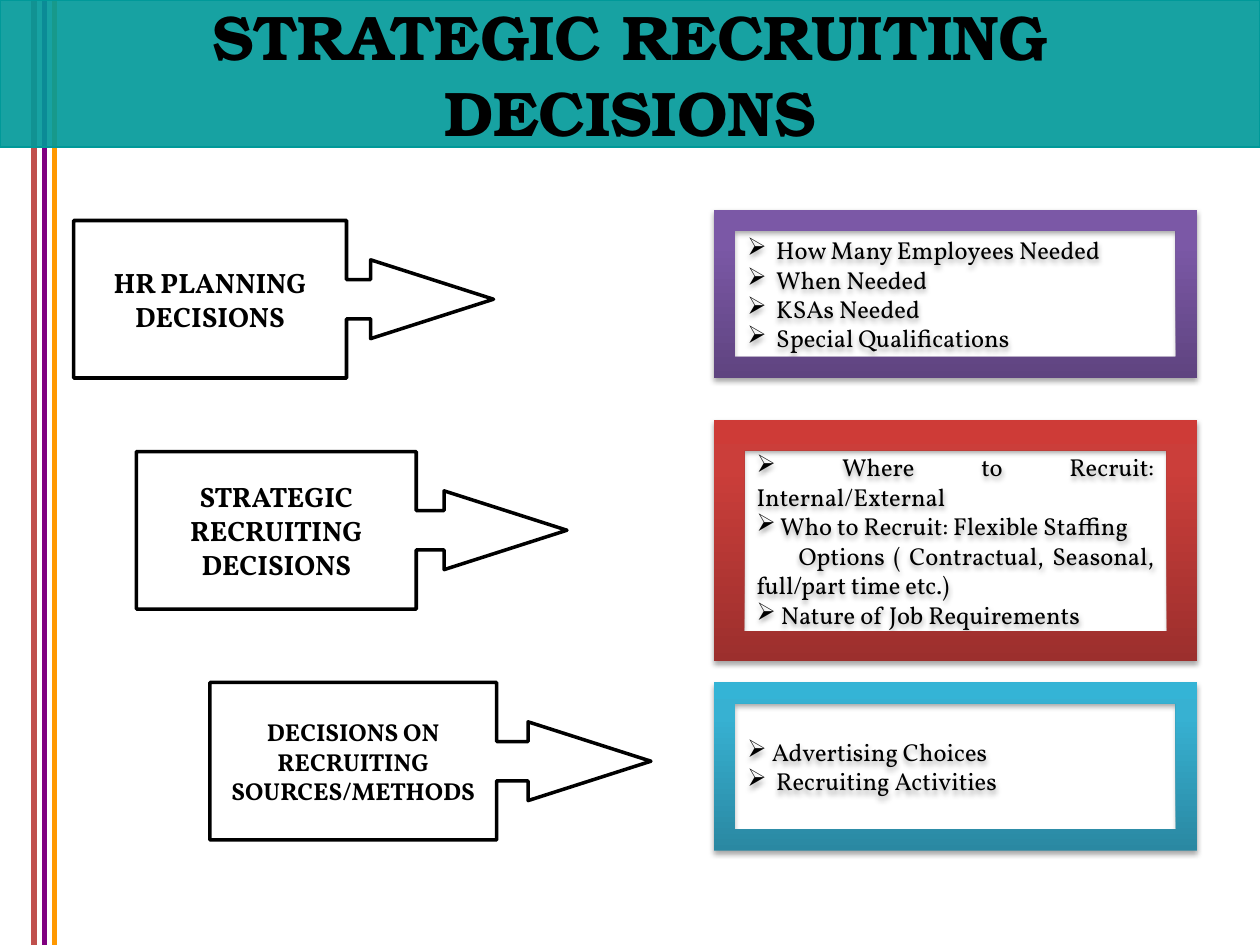
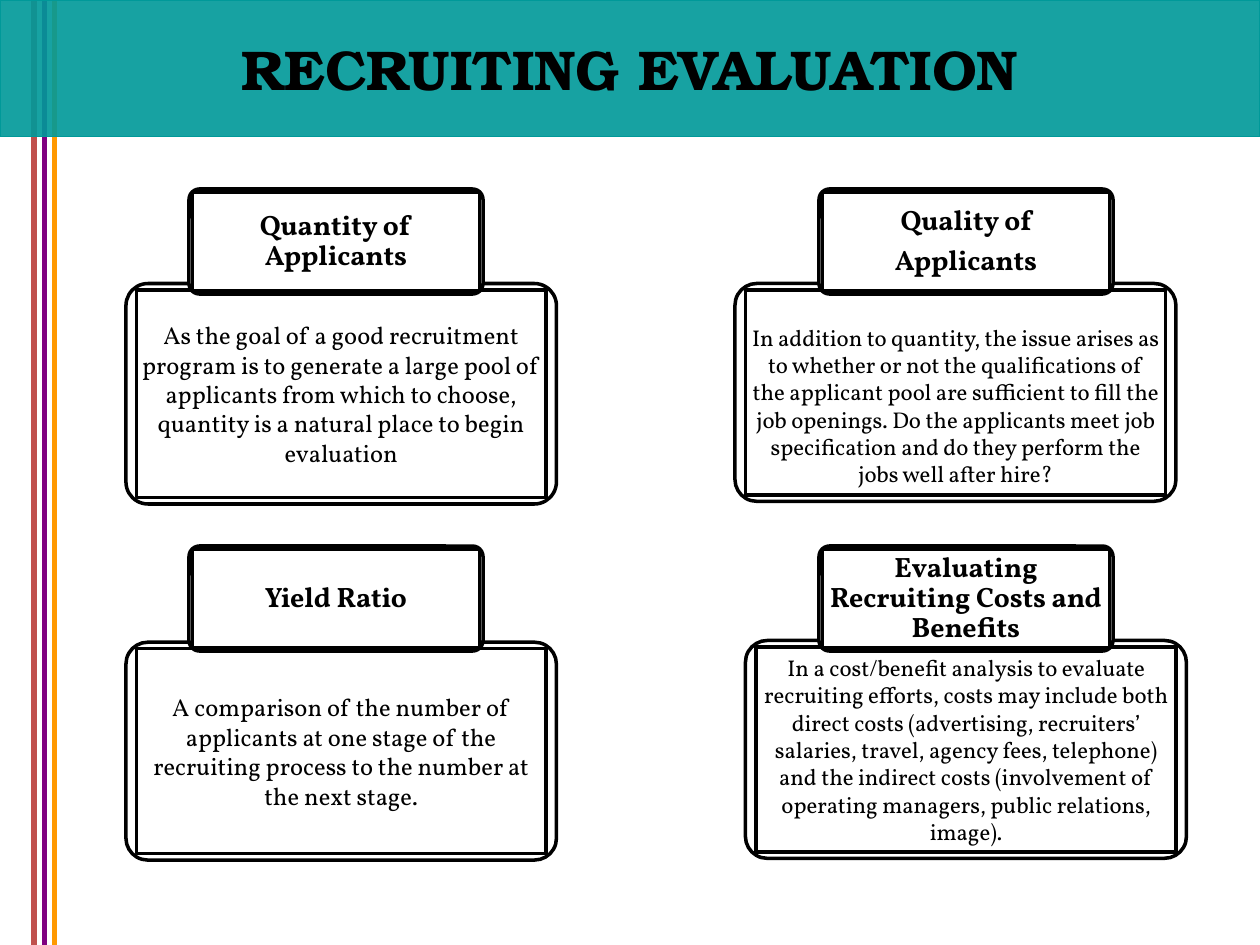
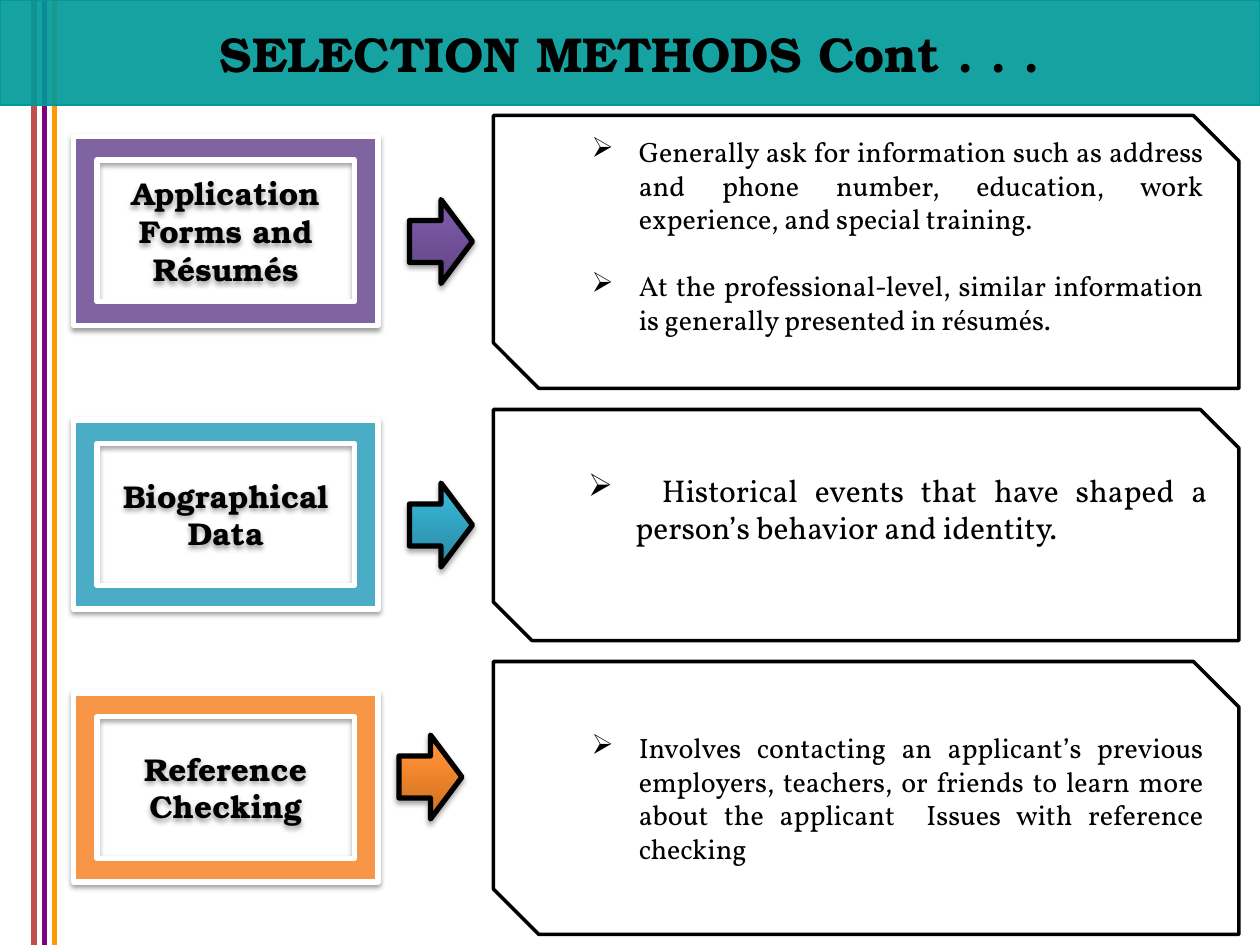
from copy import deepcopy
from dataclasses import dataclass

from lxml import etree
from pptx import Presentation
from pptx.dml.color import RGBColor
from pptx.enum.shapes import MSO_CONNECTOR, MSO_SHAPE
from pptx.enum.text import MSO_ANCHOR, PP_ALIGN
from pptx.oxml.ns import qn
from pptx.util import Pt

RECTANGLE = MSO_SHAPE.RECTANGLE
ROUNDED = MSO_SHAPE.ROUNDED_RECTANGLE
CALLOUT = MSO_SHAPE.RIGHT_ARROW_CALLOUT
FRAME = MSO_SHAPE.FRAME
ARROW = MSO_SHAPE.RIGHT_ARROW
SNIPPED = MSO_SHAPE.SNIP_2_DIAG_RECTANGLE
STRAIGHT = MSO_CONNECTOR.STRAIGHT
MIDDLE = MSO_ANCHOR.MIDDLE
CENTER = PP_ALIGN.CENTER
JUSTIFY = PP_ALIGN.JUSTIFY


@dataclass(frozen=True)
class Theme:
    width: float = 720
    height: float = 540
    ink: str = "000000"
    paper: str = "FFFFFF"
    band: str = "009999"
    band_opacity: int = 91
    stripes: tuple = ((19.5, "C0504D"), (31, "FF9900"), (25.25, "800080"))
    purple: tuple = ((0, "5F4480"), (0.8, "7B58A6"), (1, "7C57A8"))
    red: tuple = ((0, "9C2F2D"), (0.8, "CB3E3A"), (1, "CE3B37"))
    blue: tuple = ((0, "2A88A2"), (0.8, "37B1D2"), (1, "34B4D6"))
    orange: tuple = ((0, "CC6E20"), (0.8, "FF9034"), (1, "FF9136"))
    purple_flat: str = "8064A2"
    blue_flat: str = "4BACC6"
    orange_flat: str = "F79646"
    display: str = "TeX Gyre Bonum"
    body: str = "Vollkorn"
    title_large: int = 36
    title_medium: int = 32
    title_small: int = 28
    label: int = 18
    heading: int = 16
    text: int = 14
    small: int = 13
    thin: float = 0.75
    outline: float = 2
    thick: float = 3


THEME = Theme()


@dataclass(frozen=True)
class Line:
    text: str
    bullet: bool = False
    left: float = 0
    first: float = 0
    before: float = 0


def point(text, hang=0, before=0):
    return Line(text, True, hang, -hang, before)


def detail(text, before=0):
    return Line(text, True, 63, -27, before)


def color(value):
    return RGBColor.from_string(value)


def paint(shape, fill):
    if isinstance(fill, str):
        shape.fill.solid()
        shape.fill.fore_color.rgb = color(fill)
        return
    shape.fill.gradient()
    shape.fill.gradient_angle = 90
    stop_list = shape._element.spPr.find(qn("a:gradFill")).find(qn("a:gsLst"))
    stop_list.append(deepcopy(stop_list[0]))
    for stop, (position, value) in zip(shape.fill.gradient_stops, fill):
        stop.position = position
        stop.color.rgb = color(value)


def add_shadow(shape, opacity, distance):
    effects = shape._element.spPr.find(qn("a:effectLst"))
    shadow = etree.SubElement(effects, qn("a:outerShdw"), blurRad=str(Pt(3.1)),
                              dist=str(Pt(distance)), dir="5400000", rotWithShape="0")
    shade = etree.SubElement(shadow, qn("a:srgbClr"), val=THEME.ink)
    etree.SubElement(shade, qn("a:alpha"), val=str(opacity * 1000))


def add_box(slide, kind, bounds, fill=THEME.paper, line=THEME.ink,
            line_width=THEME.outline, adjustments=()):
    shape = slide.shapes.add_shape(kind, *map(Pt, bounds))
    shape.shadow.inherit = False
    for index, value in enumerate(adjustments):
        shape.adjustments[index] = value
    paint(shape, fill)
    if line:
        shape.line.color.rgb = color(line)
        shape.line.width = Pt(line_width)
    else:
        shape.line.fill.background()
    return shape


def write(shape, lines, size, font=THEME.body, bold=False, align=CENTER,
          inset=None, wrap=True, spacing=None, after=0):
    frame = shape.text_frame
    frame.word_wrap = wrap
    frame.vertical_anchor = MIDDLE
    if inset is not None:
        frame.margin_left = frame.margin_right = Pt(inset)
        frame.margin_top = frame.margin_bottom = Pt(inset)
    for index, line in enumerate(lines):
        if isinstance(line, str):
            line = Line(line)
        paragraph = frame.add_paragraph() if index else frame.paragraphs[0]
        paragraph.alignment = align
        properties = paragraph._p.get_or_add_pPr()
        properties.set("marL", str(Pt(line.left)))
        properties.set("indent", str(Pt(line.first)))
        if line.bullet:
            etree.SubElement(properties, qn("a:buChar"), char="➢")
        if spacing:
            paragraph.line_spacing = spacing
        if line.before:
            paragraph.space_before = Pt(line.before)
        if after:
            paragraph.space_after = Pt(after)
        run = paragraph.add_run()
        run.text = line.text
        run.font.name = font
        run.font.size = Pt(size)
        run.font.bold = bold
        run.font.color.rgb = color(THEME.ink)


def add_slide(presentation, title, size, band_height):
    slide = presentation.slides.add_slide(presentation.slide_layouts[6])
    for x, value in THEME.stripes:
        stripe = slide.shapes.add_connector(STRAIGHT, Pt(x), 0, Pt(x), Pt(THEME.height))
        stripe.line.color.rgb = color(value)
        stripe.line.width = Pt(THEME.thick)
        etree.SubElement(stripe._element.spPr, qn("a:effectLst"))
    band = add_box(slide, RECTANGLE, (0, 0, THEME.width, band_height),
                   THEME.band, THEME.band, THEME.thin)
    tint = band._element.spPr.find(qn("a:solidFill"))[0]
    etree.SubElement(tint, qn("a:alpha"), val=str(THEME.band_opacity * 1000))
    write(band, title, size, THEME.display, True, wrap=False)
    return slide


def add_callout(slide, left, top, width, lines, size):
    callout = add_box(slide, CALLOUT, (left, top, width, 90),
                      adjustments=(0.25, 0.25, 0.78, 0.65))
    write(callout, lines, size, bold=True)


def add_decision_frame(slide, top, height, fill, lines):
    frame = add_box(slide, FRAME, (408, top, 276, height), fill, None)
    add_shadow(frame, 35, 1.8)
    write(frame, lines, THEME.text, align=JUSTIFY)


def add_double_box(slide, bounds, gap_x, gap_y):
    left, top, width, height = bounds
    add_box(slide, ROUNDED, bounds, adjustments=(0.1,))
    return add_box(slide, RECTANGLE, (left + gap_x, top + gap_y,
                                      width - 2 * gap_x, height - 2 * gap_y))


def add_measure(slide, heading, heading_at, text, size, body_bounds, extra_top=0):
    body = add_double_box(slide, body_bounds, 6, 3.6)
    write(body, [text], size, inset=3)
    body.text_frame.margin_top = Pt(3 + extra_top)
    head = add_double_box(slide, (*heading_at, 168, 60), 2, 1.8)
    write(head, heading, THEME.heading, bold=True, inset=1.5, spacing=0.9, after=6)


def add_method(slide, label, label_top, flat, gradient, arrow_at,
               details, size, panel_top, panel_height, extra_bottom=0):
    panel = add_box(slide, SNIPPED, (282, panel_top, 426, panel_height))
    write(panel, details, size, align=JUSTIFY)
    panel.text_frame.margin_bottom = Pt(3.6 + extra_bottom)
    frame = add_box(slide, FRAME, (42, label_top, 174, 108), flat,
                    THEME.paper, THEME.thick)
    add_shadow(frame, 38, 1.6)
    write(frame, label, THEME.label, THEME.display, True)
    arrow = add_box(slide, ARROW, (*arrow_at, 36, 48), gradient, line_width=THEME.thick)
    add_shadow(arrow, 35, 1.8)


def build_decisions(presentation):
    slide = add_slide(presentation, ["STRATEGIC RECRUITING", Line("DECISIONS", first=-25)],
                      THEME.title_large, 84)
    add_callout(slide, 42, 126, 240, ["HR PLANNING DECISIONS"], THEME.heading)
    add_callout(slide, 78, 258, 246, ["STRATEGIC RECRUITING DECISIONS"], THEME.heading)
    add_callout(slide, 120, 390, 252, ["DECISIONS ON RECRUITING", "SOURCES/METHODS"],
                THEME.text)
    needs = ["How Many Employees Needed", "When Needed", "KSAs Needed",
             "Special Qualifications"]
    add_decision_frame(slide, 120, 96, THEME.purple, [point(need, 16.5) for need in needs])
    add_decision_frame(slide, 240, 138, THEME.red, [
        point(" Where to Recruit: Internal/External"),
        point(" Who to Recruit: Flexible Staffing"),
        Line("Options ( Contractual, Seasonal, full/part time etc.)", first=24),
        point(" Nature of Job Requirements")])
    add_decision_frame(slide, 390, 96, THEME.blue, [
        point(" Advertising Choices"), point("Recruiting Activities", 16.5)])


def build_evaluation(presentation):
    slide = add_slide(presentation, ["RECRUITING EVALUATION"], THEME.title_medium, 78)
    add_measure(slide, ["Quantity of Applicants"], (108, 108),
                "As the goal of a good recruitment program is to generate a large pool of "
                "applicants from which to choose, quantity is a natural place to begin "
                "evaluation", THEME.text, (72, 162, 246, 126))
    add_measure(slide, ["Quality of", "Applicants"], (468, 108),
                "In addition to quantity, the issue arises as to whether or not the "
                "qualifications of the applicant pool are sufficient to fill the job "
                "openings. Do the applicants meet job specification and do they perform "
                "the jobs well after hire?", THEME.small, (420, 162, 252, 124.5), 15)
    add_measure(slide, ["Yield Ratio"], (108, 312),
                "A comparison of the number of applicants at one stage of the recruiting "
                "process to the number at the next stage.",
                THEME.text, (72, 367, 246, 124.5))
    add_measure(slide, ["Evaluating Recruiting Costs and Benefits"], (468, 312),
                "In a cost/benefit analysis to evaluate recruiting efforts, costs may "
                "include both direct costs (advertising, recruiters’ salaries, travel, "
                "agency fees, telephone) and the indirect costs (involvement of operating "
                "managers, public relations, image).",
                THEME.small, (426, 366, 252, 124.5))


def build_methods(presentation):
    slide = add_slide(presentation, ["SELECTION METHODS Cont . . ."], THEME.title_small, 60)
    add_method(slide, ["Application Forms and Résumés"], 78, THEME.purple_flat,
               THEME.purple, (234, 114), [
                   detail("Generally ask for information such as address and phone "
                          "number, education, work experience, and special training."),
                   detail("At the professional-level, similar information is generally "
                          "presented in résumés.", 19.2)],
               THEME.heading, 66, 156, 19)
    add_method(slide, ["Biographical", "Data"], 240, THEME.blue_flat,
               THEME.blue, (234, 276), [
                   detail(" \tHistorical events that have shaped a person’s behavior "
                          "and identity.")],
               THEME.label, 234, 132, 19)
    add_method(slide, ["Reference Checking"], 396, THEME.orange_flat,
               THEME.orange, (228, 420), [
                   detail("Involves contacting an applicant’s previous employers, "
                          "teachers, or friends to learn more about the applicant  "
                          "Issues with reference checking")],
               THEME.heading, 378, 156)


def main():
    presentation = Presentation()
    presentation.slide_width = Pt(THEME.width)
    presentation.slide_height = Pt(THEME.height)
    build_decisions(presentation)
    build_evaluation(presentation)
    build_methods(presentation)
    presentation.save("out.pptx")


if __name__ == "__main__":
    main()
